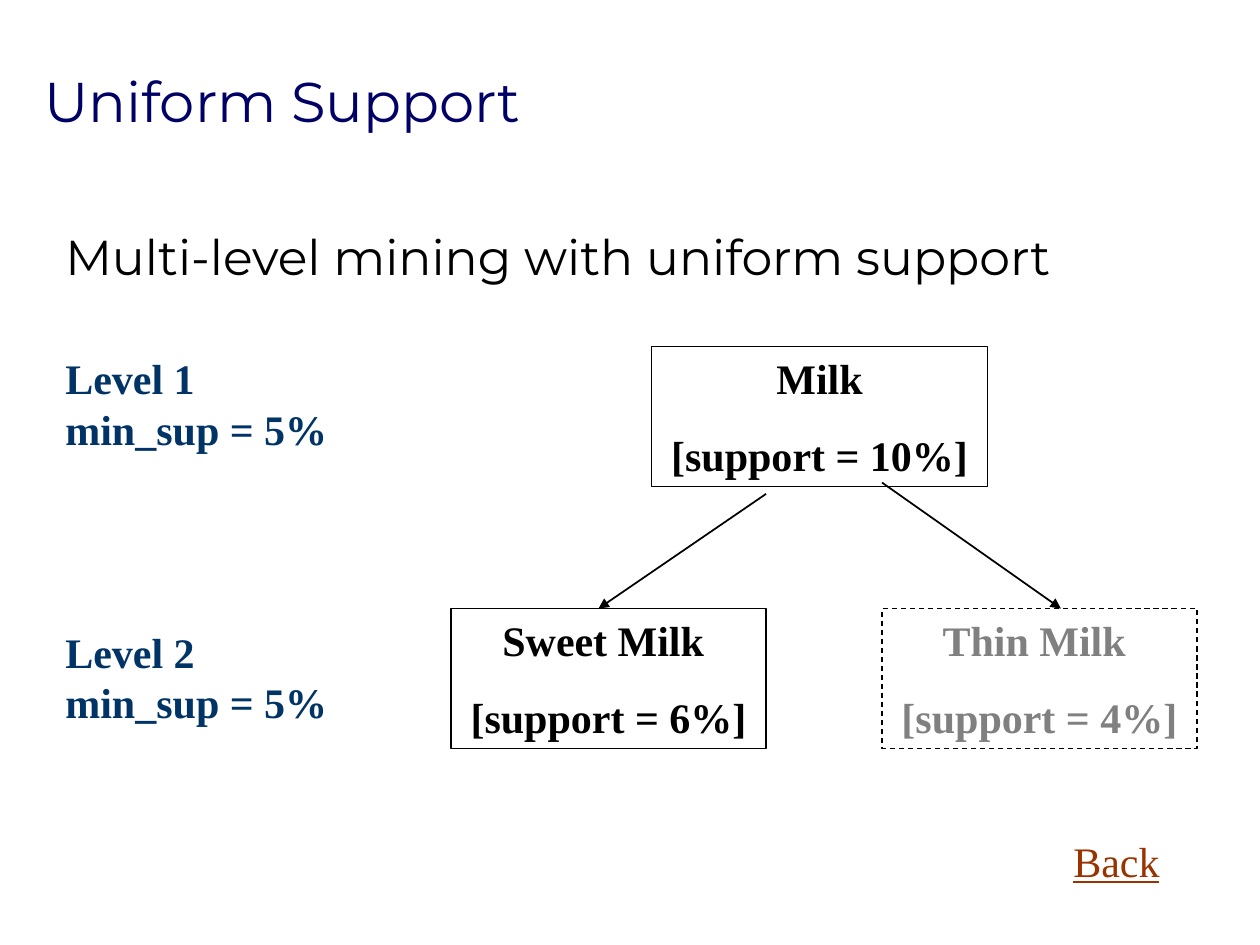
from dataclasses import dataclass
from typing import Optional

import pptx
import pptx.dml.color
import pptx.enum.dml
import pptx.enum.shapes
import pptx.enum.text
import pptx.oxml
import pptx.oxml.ns
import pptx.util
from pptx.util import Inches

ALIGN = pptx.enum.text.PP_ALIGN
ANCHOR = pptx.enum.text.MSO_ANCHOR


@dataclass(frozen=True)
class Theme:
    heading_font: str = "Montserrat"
    body_font: str = "Times New Roman"
    title_size: int = 32
    subtitle_size: int = 28
    body_size: int = 24
    navy: str = "000066"
    black: str = "000000"
    white: str = "FFFFFF"
    gray: str = "808080"
    level_blue: str = "003366"
    rust: str = "993300"


THEME = Theme()


@dataclass(frozen=True)
class TextStyle:
    font: str
    size: int
    color: str
    bold: bool = False
    underline: bool = False
    align: ALIGN = ALIGN.LEFT
    space_before: int = 0


@dataclass(frozen=True)
class Item:
    name: str
    support: str
    left: float
    top: float
    width: float
    color: str = THEME.black
    dash: Optional[pptx.enum.dml.MSO_LINE] = None
    opacity: int = 100


@dataclass(frozen=True)
class Label:
    lines: tuple[str, ...]
    left: float
    top: float
    width: float
    height: float
    style: TextStyle
    wrap: bool = False


@dataclass(frozen=True)
class Arrow:
    start: tuple[float, float]
    end: tuple[float, float]


def rgb(color: str) -> pptx.dml.color.RGBColor:
    return pptx.dml.color.RGBColor.from_string(color)


def apply(target, values: dict) -> None:
    for attribute, value in values.items():
        setattr(target, attribute, value)


def write(frame, lines: tuple[str, ...], style: TextStyle, wrap: bool,
          anchor: ANCHOR = ANCHOR.TOP) -> None:
    apply(frame, {
        "word_wrap": wrap,
        "auto_size": pptx.enum.text.MSO_AUTO_SIZE.NONE,
        "vertical_anchor": anchor,
        "margin_left": Inches(0.1),
        "margin_right": Inches(0.1),
        "margin_top": Inches(0.05),
        "margin_bottom": Inches(0.05),
    })
    for index, line in enumerate(lines):
        paragraph = frame.add_paragraph() if index else frame.paragraphs[0]
        apply(paragraph, {
            "alignment": style.align,
            "space_before": pptx.util.Pt(style.space_before),
        })
        run = paragraph.add_run()
        run.text = line
        apply(run.font, {
            "name": style.font,
            "size": pptx.util.Pt(style.size),
            "bold": style.bold,
            "underline": style.underline,
        })
        run.font.color.rgb = rgb(style.color)


def draw_title(slide, text: str) -> None:
    title = slide.shapes.title
    apply(title, {
        "left": Inches(0.25), "top": Inches(0.53),
        "width": Inches(9.42), "height": Inches(0.58),
    })
    style = TextStyle(THEME.heading_font, THEME.title_size, THEME.navy)
    write(title.text_frame, (text,), style, True, ANCHOR.BOTTOM)


def draw_label(slide, label: Label) -> None:
    box = slide.shapes.add_textbox(Inches(label.left), Inches(label.top),
                                   Inches(label.width), Inches(label.height))
    write(box.text_frame, label.lines, label.style, label.wrap)


def draw_item(slide, item: Item) -> None:
    box = slide.shapes.add_shape(
        pptx.enum.shapes.MSO_SHAPE.RECTANGLE, Inches(item.left),
        Inches(item.top), Inches(item.width), Inches(1.11))
    box.shadow.inherit = False
    box.fill.solid()
    box.fill.fore_color.rgb = rgb(THEME.white)
    if item.opacity < 100:
        fill_color = box.fill._xPr.find(".//" + pptx.oxml.ns.qn("a:srgbClr"))
        alpha = fill_color.makeelement(pptx.oxml.ns.qn("a:alpha"),
                                       {"val": str(item.opacity * 1000)})
        fill_color.append(alpha)
    box.line.color.rgb = rgb(THEME.black)
    apply(box.line, {"width": pptx.util.Pt(0.75), "dash_style": item.dash})
    style = TextStyle(THEME.body_font, THEME.body_size, item.color, bold=True,
                      align=ALIGN.CENTER, space_before=15)
    write(box.text_frame, (item.name, f"[support = {item.support}]"), style, True)


def draw_arrow(slide, arrow: Arrow) -> None:
    connector = slide.shapes.add_connector(
        pptx.enum.shapes.MSO_CONNECTOR.STRAIGHT,
        *map(Inches, arrow.start + arrow.end))
    connector.line.color.rgb = rgb(THEME.black)
    connector.line.width = pptx.util.Pt(1)
    line = connector.line._get_or_add_ln()
    line.append(line.makeelement(pptx.oxml.ns.qn("a:tailEnd"), {"type": "triangle"}))
    properties = connector._element.spPr
    properties.append(properties.makeelement(pptx.oxml.ns.qn("a:effectLst"), {}))


SUBTITLE_STYLE = TextStyle(THEME.heading_font, THEME.subtitle_size, THEME.black,
                           space_before=7)
LEVEL_STYLE = TextStyle(THEME.body_font, THEME.body_size, THEME.level_blue, bold=True)
BACK_STYLE = TextStyle(THEME.body_font, THEME.body_size, THEME.rust, underline=True)

SUBTITLE = Label(("Multi-level mining with uniform support",),
                 0.42, 1.75, 9.17, 1.08, SUBTITLE_STYLE, wrap=True)
ITEMS = (
    Item("Milk", "10%", 5.17, 2.75, 2.67),
    Item("Sweet Milk ", "6%", 3.58, 4.83, 2.5),
    Item("Thin Milk ", "4%", 7, 4.83, 2.5, THEME.gray,
         pptx.enum.dml.MSO_LINE.DASH, 50),
)
ARROWS = (Arrow((6.08, 3.92), (4.75, 4.83)), Arrow((7, 3.83), (8.42, 4.83)))
LEVELS = tuple(
    Label((f"Level {number}", "min_sup = 5%"), 0.42, top, 2.28, 0.9, LEVEL_STYLE)
    for number, top in enumerate((2.75, 4.92), start=1))
BACK = Label(("Back",), 8.42, 6.58, 0.88, 0.5, BACK_STYLE)


def main() -> None:
    deck = pptx.Presentation()
    apply(deck, {"slide_width": Inches(10), "slide_height": Inches(7.5)})
    slide = deck.slides.add_slide(deck.slide_layouts[5])
    draw_title(slide, "Uniform Support")
    draw_label(slide, SUBTITLE)
    for item in ITEMS:
        draw_item(slide, item)
    for arrow in ARROWS:
        draw_arrow(slide, arrow)
    for label in (*LEVELS, BACK):
        draw_label(slide, label)
    deck.save("out.pptx")


if __name__ == "__main__":
    main()
